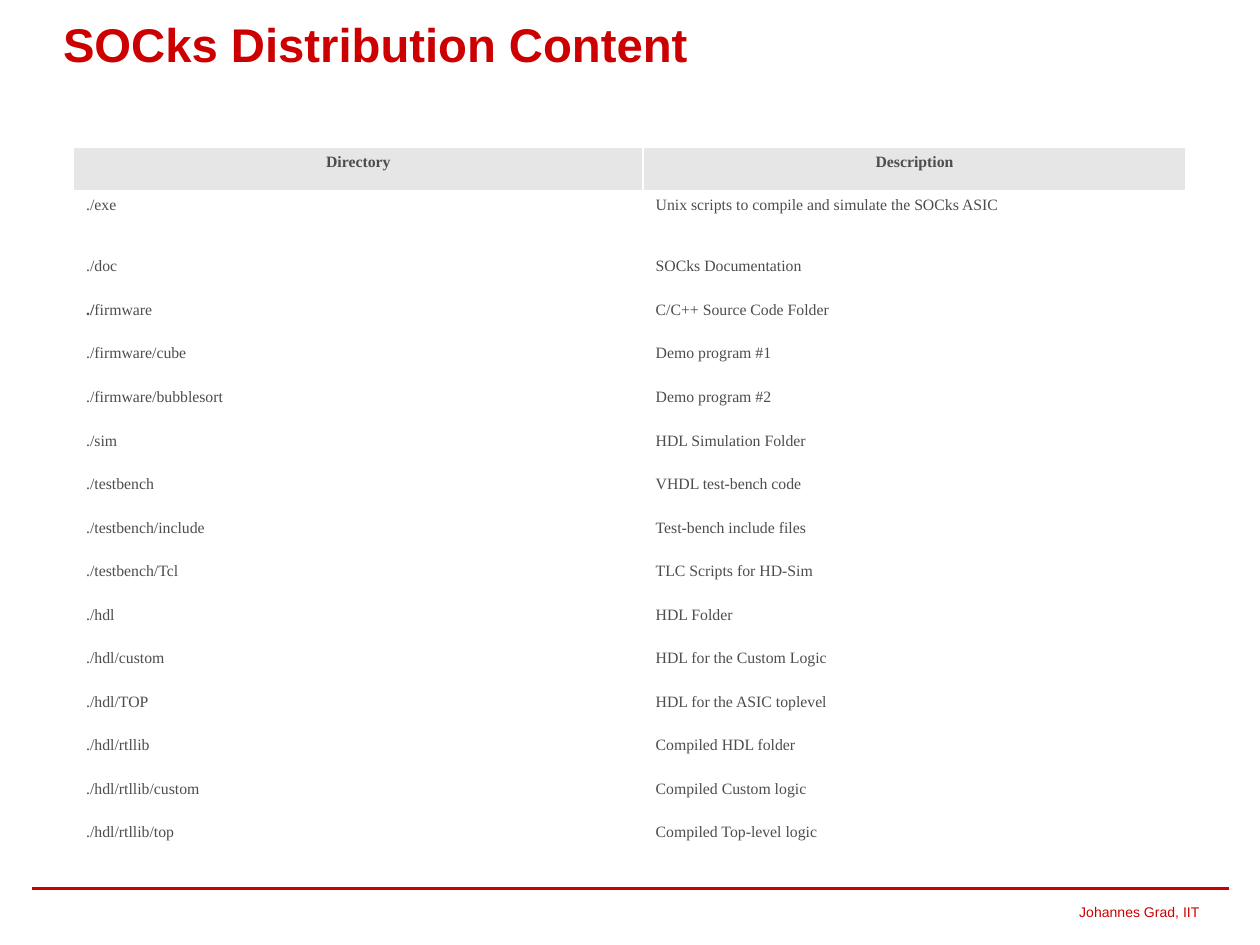
from pptx import Presentation
from pptx.dml.color import RGBColor
from pptx.enum.shapes import MSO_CONNECTOR
from pptx.enum.text import MSO_ANCHOR, PP_ALIGN
from pptx.oxml.ns import qn
from pptx.util import Pt

RED = RGBColor(0xCC, 0x00, 0x00)
GRAY = RGBColor(0x4D, 0x4D, 0x4D)
HEADER_FILL = RGBColor(0xE6, 0xE6, 0xE6)

COLUMN_WIDTHS = (325.5, 310.2)
ROW_HEIGHT = 24.9
FIRST_ENTRY_HEIGHT = 34.8
HANGING_INDENT = 13

HEADINGS = ("Directory", "Description")
ENTRIES = (
    ("exe", "Unix scripts to compile and simulate the SOCks ASIC"),
    ("doc", "SOCks Documentation"),
    ("firmware", "C/C++ Source Code Folder"),
    ("firmware/cube", "Demo program #1"),
    ("firmware/bubblesort", "Demo program #2"),
    ("sim", "HDL Simulation Folder"),
    ("testbench", "VHDL test-bench code"),
    ("testbench/include", "Test-bench include files"),
    ("testbench/Tcl", "TLC Scripts for HD-Sim"),
    ("hdl", "HDL Folder"),
    ("hdl/custom", "HDL for the Custom Logic"),
    ("hdl/TOP", "HDL for the ASIC toplevel"),
    ("hdl/rtllib", "Compiled HDL folder"),
    ("hdl/rtllib/custom", "Compiled Custom logic"),
    ("hdl/rtllib/top", "Compiled Top-level logic"),
)


def add_run(paragraph, text, font_name, size, color, bold=False):
    """Append one formatted run to a paragraph."""
    run = paragraph.add_run()
    run.text = text
    run.font.name = font_name
    run.font.size = Pt(size)
    run.font.color.rgb = color
    run.font.bold = bold


def add_label(slide, left, top, width, height, anchor):
    """Add a text box without margins and return its first paragraph."""
    shape = slide.shapes.add_textbox(Pt(left), Pt(top), Pt(width), Pt(height))
    frame = shape.text_frame
    frame.word_wrap = True
    frame.vertical_anchor = anchor
    frame.margin_left = frame.margin_right = 0
    frame.margin_top = frame.margin_bottom = 0
    return frame.paragraphs[0]


def add_rule(slide, left, right, top):
    """Add a horizontal red line without a shadow."""
    connector = slide.shapes.add_connector(
        MSO_CONNECTOR.STRAIGHT, Pt(left), Pt(top), Pt(right), Pt(top)
    )
    connector.line.color.rgb = RED
    connector.line.width = Pt(1.5)
    properties = connector._element.spPr
    properties.append(properties.makeelement(qn("a:effectLst"), {}))


def fill_cell(cell, runs, header=False):
    """Write (text, bold) runs into a table cell."""
    if header:
        cell.fill.solid()
        cell.fill.fore_color.rgb = HEADER_FILL
    else:
        cell.fill.background()
    paragraph = cell.text_frame.paragraphs[0]
    paragraph.alignment = PP_ALIGN.CENTER if header else PP_ALIGN.LEFT
    paragraph.space_after = Pt(5.6)
    properties = paragraph._p.get_or_add_pPr()
    properties.set("marL", str(Pt(HANGING_INDENT)))
    properties.set("indent", str(-Pt(HANGING_INDENT)))
    for text, bold in runs:
        add_run(paragraph, text, "Times New Roman", 9, GRAY, bold)


def add_directory_table(slide):
    """Add the table of directories and their descriptions."""
    heights = [ROW_HEIGHT] * (len(ENTRIES) + 1)
    heights[1] = FIRST_ENTRY_HEIGHT
    table = slide.shapes.add_table(
        len(heights), len(COLUMN_WIDTHS), Pt(42), Pt(84),
        Pt(sum(COLUMN_WIDTHS)), Pt(sum(heights)),
    ).table
    table.horz_banding = False
    for column, width in zip(table.columns, COLUMN_WIDTHS):
        column.width = Pt(width)
    for row, height in zip(table.rows, heights):
        row.height = Pt(height)
    for index, heading in enumerate(HEADINGS):
        fill_cell(table.cell(0, index), [(heading, True)], header=True)
    for index, (directory, description) in enumerate(ENTRIES, 1):
        if directory == "firmware":
            runs = [("./", True), (directory, False)]
        else:
            runs = [("./" + directory, False)]
        fill_cell(table.cell(index, 0), runs)
        fill_cell(table.cell(index, 1), [(description, False)])


def main():
    """Build and save the slide."""
    presentation = Presentation()
    presentation.slide_width = Pt(720)
    presentation.slide_height = Pt(540)
    slide = presentation.slides.add_slide(presentation.slide_layouts[6])

    footer = add_label(slide, 420.5, 507.6, 265, 26.6, MSO_ANCHOR.MIDDLE)
    footer.alignment = PP_ALIGN.RIGHT
    add_run(footer, "Johannes Grad, IIT", "Arial", 8, RED)
    add_rule(slide, 18, 702, 507.6)

    title = add_label(slide, 36, 12.2, 480, 66.2, MSO_ANCHOR.TOP)
    title.line_spacing = 0.9
    add_run(title, "SOCks Distribution Content", "Arial", 27, RED, bold=True)
    add_directory_table(slide)

    presentation.save("out.pptx")


if __name__ == "__main__":
    main()
